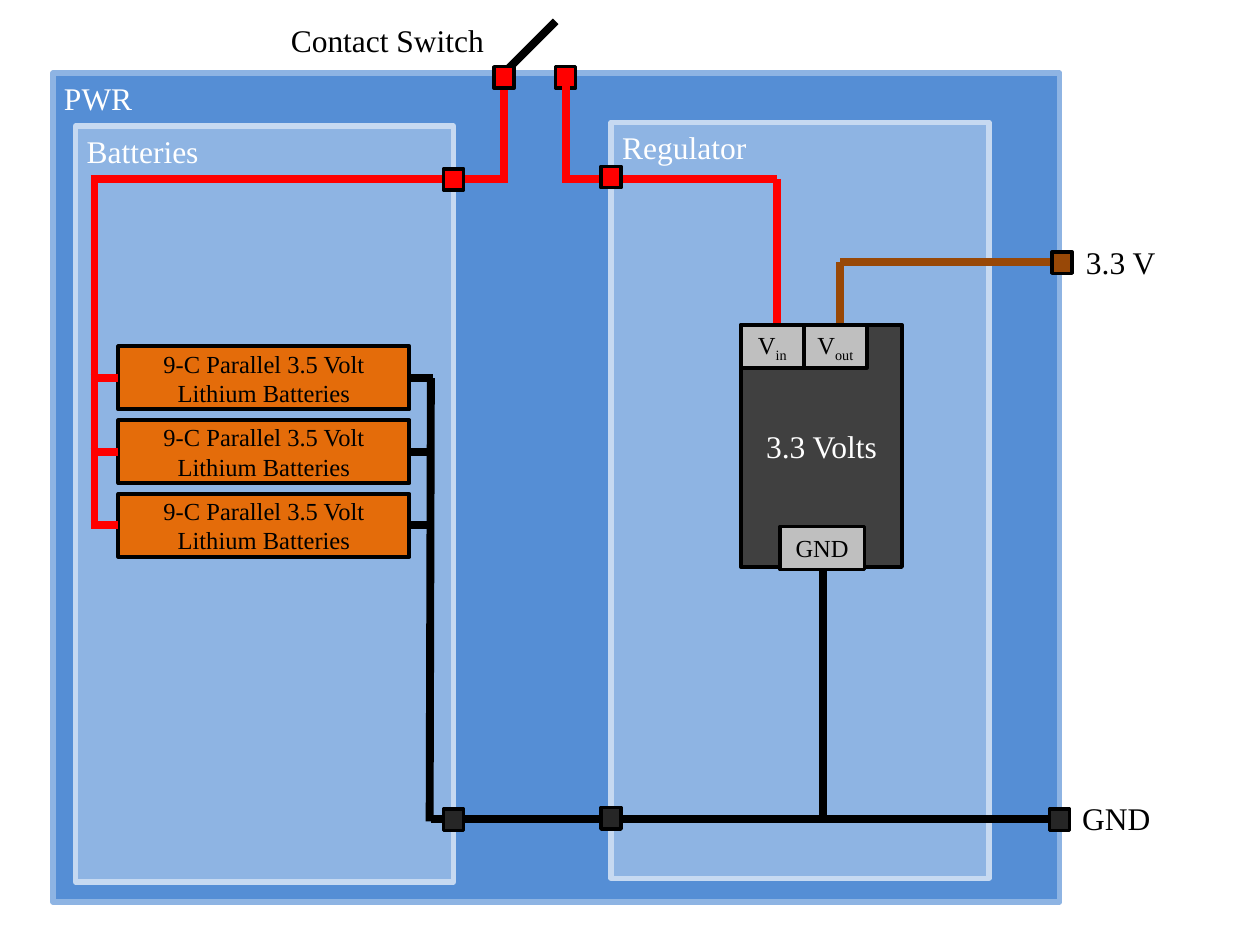
from collections import namedtuple

from lxml.etree import SubElement
from pptx import Presentation
from pptx.dml.color import RGBColor
from pptx.enum.shapes import MSO_CONNECTOR, MSO_SHAPE
from pptx.enum.text import MSO_ANCHOR, PP_ALIGN
from pptx.oxml.ns import qn
from pptx.util import Inches, Pt

Box = namedtuple("Box", "left top width height")
BLACK, WHITE, RED, BROWN = "000000", "FFFFFF", "FF0000", "984807"
DARK, PIN, ORANGE = "262626", "BFBFBF", "E46C0A"
LABEL = {"name": "Times New Roman", "size": Pt(18)}
SMALL = {"name": "Times New Roman", "size": Pt(14)}


def color(value):
    """Turn a hex string into a color."""
    return RGBColor.from_string(value)


def inches(*lengths):
    """Convert lengths to slide units."""
    return [Inches(length) for length in lengths]


def inside(box, left, top, width, height):
    """Place a box relative to the corner of another box."""
    return Box(box.left + left, box.top + top, width, height)


def write(para, words, formats, ink, subscript=""):
    """Write formatted words with an optional subscript."""
    for part in filter(None, (words, subscript)):
        span = para.add_run()
        span.text = part
        for name, value in formats.items():
            setattr(span.font, name, value)
        span.font.color.rgb = color(ink)
    if subscript:
        span._r.get_or_add_rPr().set("baseline", "-25000")


def block(slide, box, fill, border=BLACK, weight=2):
    """Draw a bordered rectangle."""
    shape = slide.shapes.add_shape(MSO_SHAPE.RECTANGLE, *inches(*box))
    shape.shadow.inherit = False
    shape.fill.solid()
    shape.fill.fore_color.rgb = color(fill)
    shape.line.color.rgb = color(border)
    shape.line.width = Pt(weight)
    return shape


def caption(shape, words, formats=SMALL, ink=BLACK, subscript="", margin=0.1):
    """Center words in a rectangle."""
    frame = shape.text_frame
    settings = {"word_wrap": True, "vertical_anchor": MSO_ANCHOR.MIDDLE,
                "margin_left": Inches(margin), "margin_right": Inches(margin)}
    for name, value in settings.items():
        setattr(frame, name, value)
    para = frame.paragraphs[0]
    para.alignment = PP_ALIGN.CENTER
    write(para, words, formats, ink, subscript)


def label(slide, box, words, ink=BLACK):
    """Add a free-standing label."""
    frame = slide.shapes.add_textbox(*inches(*box)).text_frame
    frame.word_wrap = True
    write(frame.paragraphs[0], words, LABEL, ink)


def wire(slide, box, points, ink):
    """Draw straight wires through points relative to a box."""
    placed = [(box.left + x, box.top + y) for x, y in points]
    for start, end in zip(placed, placed[1:]):
        line = slide.shapes.add_connector(
            MSO_CONNECTOR.STRAIGHT, *inches(*start, *end))
        line.line.color.rgb = color(ink)
        line.line.width = Pt(4.5)
        SubElement(line._element.spPr, qn("a:effectLst"))


def terminal(slide, box, x, y, fill):
    """Draw a square terminal centered on a point relative to a box."""
    block(slide, inside(box, x - 0.08, y - 0.08, 0.16, 0.17), fill)


def panel(slide, box, words, fill="8EB4E3", border="C6D9F1"):
    """Draw a module panel with its name in the corner."""
    block(slide, box, fill, border, 3)
    label(slide, inside(box, -0.01, 0, 2.83, 0.4), words, WHITE)


def batteries(slide, box):
    """Draw the battery module and its wiring."""
    panel(slide, box, "Batteries")
    rows = [2 + 0.585 * index for index in range(3)]
    for row in rows:
        cell = block(slide, inside(box, 0.34, row - 0.25, 2.31, 0.5),
                     ORANGE, weight=2.25)
        caption(cell, "9-C Parallel 3.5 Volt Lithium Batteries")
    for row in rows:
        wire(slide, box, [(0.12, row), (0.34, row)], RED)
        wire(slide, box, [(2.65, row), (2.84, row)], BLACK)
    wire(slide, box, [(0.15, 3.17), (0.15, 0.4)], RED)
    wire(slide, box, [(0.12, 0.42), (3.4, 0.42)], RED)
    wire(slide, box, [(2.82, 2), (2.81, 5.52)], BLACK)


def regulator(slide, box):
    """Draw the regulator module, its wiring and its chip."""
    panel(slide, box, "Regulator")
    wire(slide, box, [(-0.36, 0.45), (1.32, 0.45), (1.32, 1.62)], RED)
    wire(slide, box, [(3.56, 1.11), (1.82, 1.11), (1.82, 1.64)], BROWN)
    wire(slide, box, [(1.68, 5.53), (1.68, 3.54)], BLACK)
    chip = inside(box, 1.03, 1.61, 1.28, 1.92)
    caption(block(slide, chip, "404040"), "3.3 Volts", LABEL, WHITE)
    pins = [(0, 0, 0.5, "V", "in"), (0.5, 0, 0.5, "V", "out"),
            (0.31, 1.6, 0.67, "GND", "")]
    for left, top, width, words, subscript in pins:
        pin = block(slide, inside(chip, left, top, width, 0.34), PIN)
        caption(pin, words, subscript=subscript, margin=0)


def contact_switch(slide, box):
    """Draw the open switch with its contacts and leads."""
    label(slide, Box(box.left, box.top, 1.84, 0.4), "Contact Switch")
    left, right, contact, bottom = 1.79, 2.28, 0.49, 1.33
    wire(slide, box, [(left, contact), (left, bottom)], RED)
    wire(slide, box, [(2.2, 0.05), (left, 0.46)], BLACK)
    for x in (left, right):
        terminal(slide, box, x, contact, RED)
    wire(slide, box, [(right, contact + 0.01), (right, bottom)], RED)


def connections(slide, box):
    """Draw the shared ground, the terminals and the output labels."""
    wire(slide, box, [(3, 5.92), (7.99, 5.92)], BLACK)
    terminals = [(3.18, 0.84, RED), (3.18, 5.92, DARK), (4.43, 0.82, RED),
                 (4.43, 5.91, DARK), (7.99, 5.92, DARK), (8.01, 1.5, BROWN)]
    for x, y, fill in terminals:
        terminal(slide, box, x, y, fill)
    label(slide, inside(box, 8.1, 1.3, 1.49, 0.4), "3.3 V")
    label(slide, inside(box, 8.07, 5.71, 1.49, 0.4), "GND")


def build():
    """Build the power diagram slide."""
    deck = Presentation()
    deck.slide_width, deck.slide_height = inches(10, 7.5)
    page = deck.slides.add_slide(deck.slide_layouts[6])
    power = Box(0.42, 0.58, 7.99, 6.58)
    panel(page, power, "PWR", "558ED5", "8EB4E3")
    batteries(page, Box(0.6, 1, 3, 6))
    regulator(page, Box(4.85, 0.97, 3, 6))
    contact_switch(page, Box(2.21, 0.12, 2.36, 1.33))
    connections(page, power)
    deck.save("out.pptx")


build()
